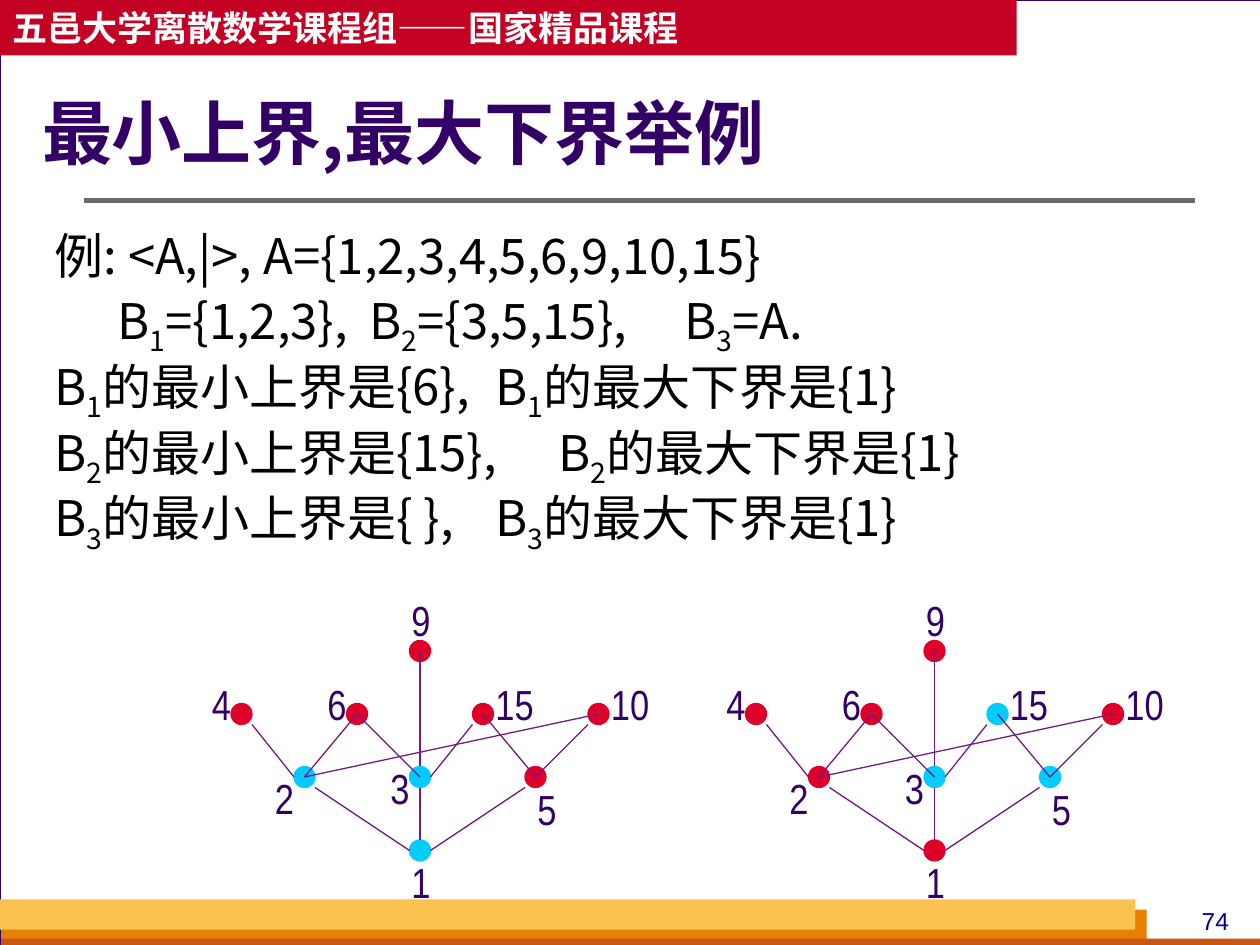
from lxml import etree
from pptx import Presentation
from pptx.dml.color import RGBColor
from pptx.enum import shapes as kinds, text as txt
from pptx.oxml.ns import qn
from pptx.util import Pt

HUES = {
    "back": "D8DADA", "white": "FFFFFF", "black": "000000", "ink": "330066",
    "head": "C30224", "gold": "FCC24F", "amber": "E88000", "rust": "C95616",
    "rule": "6B6B6B", "edge": "711C81", "red": "DF0029", "blue": "00CCFF",
    "page": "000099",
}
SANS = "Noto Sans CJK SC"
STEP = 6
SIZE = 12

# name: dot centre, label corner, label width
NODES = {
    "1": ((126, 150), (114, 150), 36), "2": ((60, 108), (36, 102), 36),
    "3": ((126, 108), (102, 96), 36), "4": ((24, 72), (0, 48), 36),
    "5": ((192, 108), (186, 108), 36), "6": ((90, 72), (66, 48), 36),
    "9": ((126, 36), (114, 0), 36), "15": ((162, 72), (162, 48), 42),
    "10": ((228, 72), (228, 48), 42),
}
# two nodes, then the steps from each centre to the line's end
EDGES = [
    ("1", "3", (0, -1), (0, 1)), ("3", "9", (0, -1), (0, 0)),
    ("1", "2", (-1, 0), (1, 1)), ("2", "6", (0, 0), (0, 0)),
    ("6", "3", (0, 0), (0, 0)), ("3", "15", (1, 0), (-1, 1)),
    ("1", "5", (1, 0), (-1, 1)), ("15", "5", (0, 0), (0, 0)),
    ("2", "4", (-1, 0), (1, 1)), ("2", "10", (0, 0), (0, 0)),
    ("5", "10", (0, 0), (-1, 1)),
]
LINES = [
    ("例: <A,|>, A={1,2,3,4,5,6,9,10,15}", ()),
    ("\tB_1={1,2,3},\tB_2={3,5,15},\tB_3=A.", (12, 168.5, 341.5)),
    ("B_1的最小上界是{6},\tB_1的最大下界是{1}", (270,)),
    ("B_2的最小上界是{15},\tB_2的最大下界是{1}", (279,)),
    ("B_3的最小上界是{ },\tB_3的最大下界是{1}", (260,)),
]


def tint(name):
    """Return the named colour."""
    return RGBColor.from_string(HUES[name])


def place(shape, left, top, width, height):
    """Move and size a shape."""
    shape.left, shape.top = Pt(left), Pt(top)
    shape.width, shape.height = Pt(width), Pt(height)


def write(para, words, size=24, font=SANS, hue="ink", bold=False,
          align=txt.PP_ALIGN.LEFT, lead=None, gap=0, tabs=()):
    """Fill a paragraph, where an underscore lowers the next character."""
    props = para._p.get_or_add_pPr()
    props.set("marL", "0")
    props.set("indent", "0")
    etree.SubElement(props, qn("a:buNone"))
    if tabs:
        stops = etree.SubElement(props, qn("a:tabLst"))
        for stop in tabs:
            etree.SubElement(stops, qn("a:tab"), pos=str(Pt(stop)), algn="l")
    para.alignment, para.space_before = align, Pt(gap)
    if lead:
        para.line_spacing = lead
    first, *rest = words.split("_")
    parts = [(first, False)]
    for part in rest:
        parts += [(part[0], True), (part[1:], False)]
    for part, low in parts:
        run = para.add_run()
        run.text = part
        run.font.size, run.font.name, run.font.bold = Pt(size), font, bold
        run.font.color.rgb = tint(hue)
        mark = run._r.get_or_add_rPr()
        etree.SubElement(mark, qn("a:ea"), typeface=font)
        if low:
            mark.set("baseline", "-25000")


def block(slide, kind, box, fill, line=None):
    """Add a flat filled shape."""
    shape = slide.shapes.add_shape(kind, *map(Pt, box))
    shape.shadow.inherit = False
    shape.fill.solid()
    shape.fill.fore_color.rgb = tint(fill)
    if line:
        shape.line.color.rgb = tint(line)
        shape.line.width = Pt(0.75)
    else:
        shape.line.fill.background()
    return shape


def label(slide, box, words, **form):
    """Add a text box of one line."""
    shape = slide.shapes.add_textbox(*map(Pt, box))
    shape.text_frame.word_wrap = True
    write(shape.text_frame.paragraphs[0], words, **form)


def link(slide, start, end, hue, width):
    """Add a straight line without shadow."""
    line = slide.shapes.add_connector(
        kinds.MSO_CONNECTOR.STRAIGHT, *map(Pt, (*start, *end)))
    line.line.color.rgb = tint(hue)
    line.line.width = Pt(width)
    etree.SubElement(line._element.spPr, qn("a:effectLst"))


def frame(slide, left, top, width, height):
    """Draw the page, its header, footer bands and number."""
    slide.background.fill.solid()
    slide.background.fill.fore_color.rgb = tint("back")
    rect = kinds.MSO_SHAPE.RECTANGLE
    foot = top + height
    block(slide, rect, (left, top, width + 0.7, height), "white", "ink")
    head = block(slide, rect, (left, top, 581, 31.7), "head").text_frame
    head.word_wrap = False
    head.vertical_anchor = txt.MSO_ANCHOR.MIDDLE
    write(head.paragraphs[0], "五邑大学离散数学课程组——国家精品课程",
          size=20, hue="white", bold=True)
    block(slide, rect, (left + 0.7, foot - 20.2, 654.5, 20.2), "amber")
    block(slide, rect, (left + 0.7, foot - 3.6, width, 5.8), "rust")
    block(slide, rect, (left, foot - 26, 648.7, 17.3), "gold")
    label(slide, (left + 672, foot - 26, 45, 24.5), "74", size=14,
          font="Arial", hue="page", align=txt.PP_ALIGN.CENTER)
    link(slide, (left + 48, top + 114.5), (left + 683, top + 114.5), "rule", 3)


def lift(slide, holder, box):
    """Bring a placeholder to the front, place it and return its frame."""
    slide.shapes._spTree.append(holder._element)
    place(holder, *box)
    body = holder.text_frame
    body.word_wrap = True
    body.auto_size = txt.MSO_AUTO_SIZE.NONE
    return body


def title(slide, *box):
    """Fill the title."""
    body = lift(slide, slide.shapes.title, box)
    body.margin_left = 0
    body.vertical_anchor = txt.MSO_ANCHOR.MIDDLE
    write(body.paragraphs[0], "最小上界,最大下界举例", size=40, bold=True, lead=0.9)


def proof(slide, *box):
    """Fill the body with the worked example."""
    body = lift(slide, slide.placeholders[1], box)
    body.vertical_anchor = txt.MSO_ANCHOR.TOP
    for row, (words, tabs) in enumerate(LINES):
        para = body.add_paragraph() if row else body.paragraphs[0]
        write(para, words, size=28, hue="black", lead=0.8,
              gap=7 if row else 0, tabs=tabs)


def hasse(slide, left, top, chosen):
    """Draw the order diagram with the chosen nodes in blue."""
    for name, ((x, y), _, _) in NODES.items():
        hue = "blue" if name in chosen else "red"
        box = (left + x - SIZE / 2, top + y - SIZE / 2, SIZE, SIZE)
        block(slide, kinds.MSO_SHAPE.OVAL, box, hue, hue)
    for *ends, near, far in EDGES:
        start, end = (
            (left + NODES[name][0][0] + STEP * dx,
             top + NODES[name][0][1] + STEP * dy)
            for name, (dx, dy) in zip(ends, (near, far)))
        link(slide, start, end, "edge", 0.75)
    for name, (_, (x, y), width) in NODES.items():
        label(slide, (left + x, top + y, width, 36), name, font="Arial Narrow")


def main():
    """Build and save the slide."""
    deck = Presentation()
    deck.slide_width, deck.slide_height = Pt(720), Pt(540)
    slide = deck.slides.add_slide(deck.slide_layouts[1])
    frame(slide, 0, 0, 720, 540)
    title(slide, 24, 48, 612, 60)
    proof(slide, 24, 132, 612, 216)
    hasse(slide, 114, 336, {"1", "2", "3"})
    hasse(slide, 408, 336, {"3", "5", "15"})
    deck.save("out.pptx")


if __name__ == "__main__":
    main()
